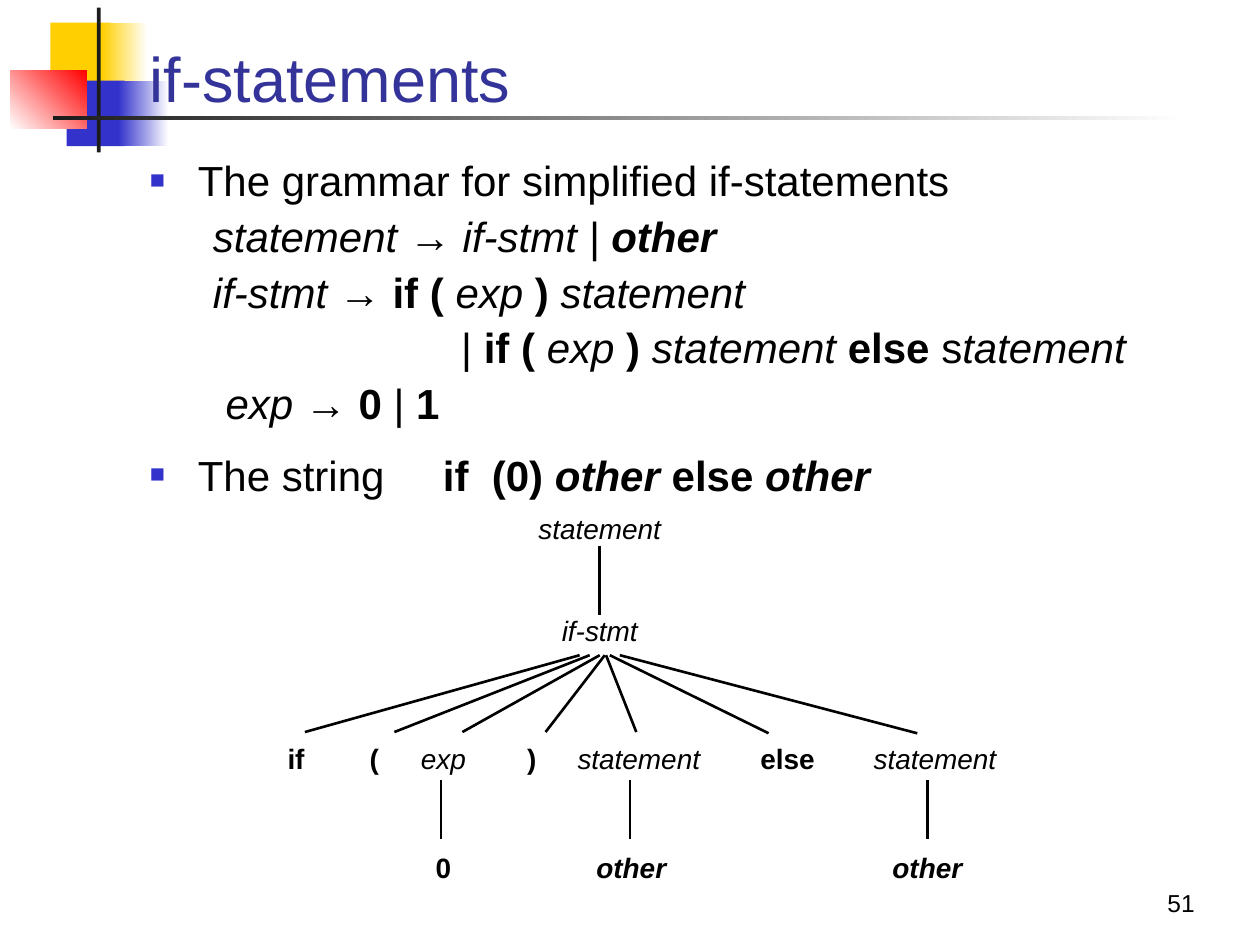
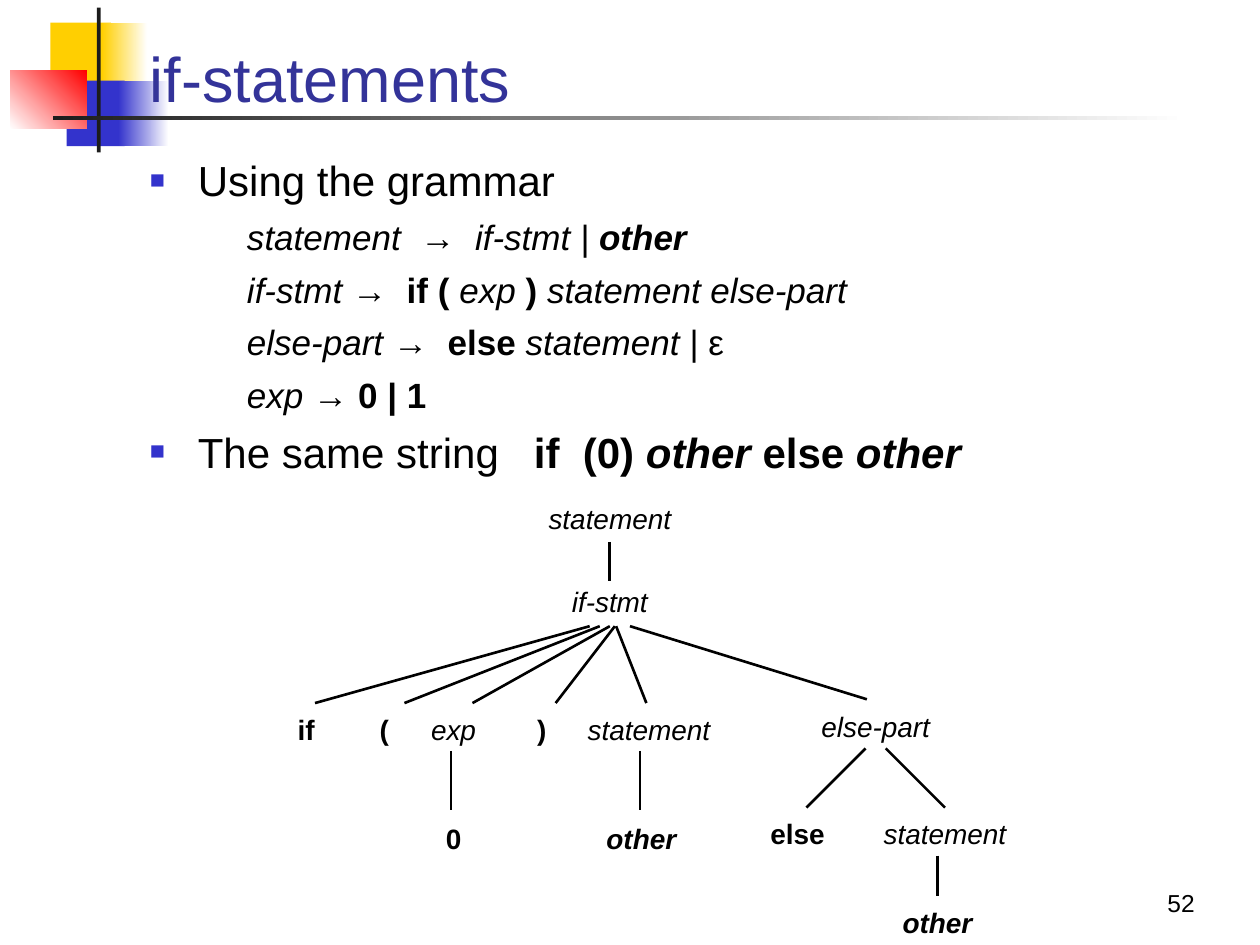
from lxml.etree import SubElement as Sub
from pptx import Presentation
from pptx.dml.color import RGBColor as Rgb
from pptx.enum.shapes import MSO_CONNECTOR as Link, MSO_SHAPE as Kind
from pptx.enum.text import MSO_ANCHOR as Anchor, MSO_AUTO_SIZE as Auto, PP_ALIGN as Align
from pptx.oxml.ns import qn
from pptx.util import Inches, Pt

FONT = "Arial"
BLACK, WHITE, DARK = "000000", "FFFFFF", "1C1C1C"
GOLD, BLUE, RED, NAVY = "FFCF01", "3333CC", "FF0000", "333399"

BANDS = [
    ((0.4, 0.18, 0.48, 0.52), (GOLD,), 0),
    ((0.81, 0.18, 0.36, 0.52), (GOLD, WHITE), 0),
    ((0.53, 0.64, 0.46, 0.52), (BLUE,), 0),
    ((0.94, 0.64, 0.4, 0.52), (BLUE, WHITE), 0),
    ((0.08, 0.56, 0.61, 0.46), (WHITE, RED), 45),
    ((0.77, 0.06, 0.03, 1.15), (DARK,), 0),
    ((0.42, 0.92, 9, 0.03), (DARK, WHITE), 0),
]
FRAMES = [(1.09, 0.21, 8.52, 0.76), (1.09, 1.18, 8.5, 5.64)]

WIDTHS = {"*if*": 0.94, "*(*": 0.78, "*)*": 0.62, "/exp/": 0.94,
          "*else*": 0.94, "*0*": 0.94}
WORDS = [
    ("/if-stmt/", 4.76, 4.87), ("*if*", 2.35, 5.89), ("*(*", 2.97, 5.89),
    ("/exp/", 3.52, 5.89), ("*)*", 4.22, 5.89), ("/statement/", 5.07, 5.89),
    ("*0*", 3.52, 6.75), ("*/other/*", 5.01, 6.75),
]
LINES = [
    (4.6, 5.2, 2.42, 5.81), (4.68, 5.2, 3.13, 5.81), (4.76, 5.2, 3.67, 5.81),
    (4.8, 5.2, 4.33, 5.81), (4.81, 5.2, 5.05, 5.81),
    (3.5, 6.19, 3.5, 6.66), (5, 6.19, 5, 6.66),
]

PAGES = [
    {
        "number": "51", "before": 12, "shift": (0, 0),
        "rows": [
            ("The grammar for simplified if-statements", 24, None, 0),
            ("/statement/ → /if-stmt | /*/other/*", 24, 0.5, 0),
            ("/if-stmt/ → *if ( */exp/* ) */statement/", 24, 0.5, 0),
            ("| *if ( */exp/* )*/ statement /*else* s/tatement/", 24, 2.47, 0),
            ("/exp/ → *0* | *1*", 24, 0.6, 0),
            ("The string_*if  (0) /other/ else /other/*", 24, None, 26.7),
        ],
        "words": [
            ("/statement/", 4.76, 4.06), ("*else*", 6.25, 5.89),
            ("/statement/", 7.42, 5.89), ("*/other/*", 7.36, 6.75),
        ],
        "lines": [
            (4.76, 4.33, 4.76, 4.88), (4.84, 5.2, 6.1, 5.82),
            (4.92, 5.2, 7.28, 5.82), (7.36, 6.19, 7.36, 6.66),
        ],
    },
    {
        "number": "52", "before": 6, "shift": (0.08, -0.23),
        "rows": [
            ("Using the grammar", 24, None, 0),
            ("/statement/  →  /if-stmt | /*/other/*", 20, 0.77, 0),
            ("/if-stmt/ →  *if ( */exp/* ) */statement else-part/", 20, 0.77, 0),
            ("/else-part/ →  *else* /statement | /ε", 20, 0.77, 0),
            ("/exp/ → *0 | 1*", 20, 0.77, 0),
            ("The same string_*if  (0) /other/ else /other/*", 24, None, 13.3),
        ],
        "words": [
            ("/statement/", 4.84, 3.98), ("/else-part/", 6.95, 5.63),
            ("*else*", 6.33, 6.48), ("/statement/", 7.5, 6.48),
            ("*/other/*", 7.44, 7.19),
        ],
        "lines": [
            (4.84, 4.3, 4.84, 4.61), (5, 4.97, 6.88, 5.55),
            (6.87, 5.94, 6.4, 6.41), (7.03, 5.94, 7.5, 6.41),
            (7.44, 6.79, 7.44, 7.11),
        ],
    },
]


def style(item, **values):
    """Set each named attribute of an item."""
    for name, value in values.items():
        setattr(item, name, value)


def paint(fill, *hues, angle=0):
    """Fill with one colour, or with a gradient between two."""
    if len(hues) == 1:
        fill.solid()
        fill.fore_color.rgb = Rgb.from_string(hues[0])
        return
    fill.gradient()
    fill.gradient_angle = angle
    for stop, hue in zip(fill.gradient_stops, hues):
        stop.color.rgb = Rgb.from_string(hue)


def place(item, box):
    """Give an item its left, top, width and height in inches."""
    style(item, **dict(zip(("left", "top", "width", "height"), map(Inches, box))))


def add_run(para, text, size, hue=BLACK, **values):
    """Add one formatted run and return it."""
    run = para.add_run()
    run.text = text
    style(run.font, name=FONT, size=Pt(size), **values)
    paint(run.font.fill, hue)
    return run


def write(para, text, size, gap=0):
    """Write marked text: * for bold, / for italic, _ for a wide space."""
    for n, bold in enumerate(text.split("*")):
        for m, slant in enumerate(bold.split("/")):
            for k, piece in enumerate(slant.split("_")):
                if k:
                    space = add_run(para, " ", size)
                    space._r.get_or_add_rPr().set("spc", str(round(gap * 100)))
                if piece:
                    add_run(para, piece, size, bold=n % 2 == 1, italic=m % 2 == 1)


def indent(para, margin):
    """Set a bullet with a hanging indent, or a plain left margin."""
    props = para._p.get_or_add_pPr()
    hang = 0.38 if margin is None else 0
    props.set("marL", str(Inches(hang or margin)))
    props.set("indent", str(Inches(-hang)))
    if not hang:
        Sub(props, qn("a:buNone"))
        return
    Sub(Sub(props, qn("a:buClr")), qn("a:srgbClr"), val=BLUE)
    Sub(props, qn("a:buSzPct"), val="60000")
    Sub(props, qn("a:buFont"), typeface=FONT)
    Sub(props, qn("a:buChar"), char="■")


def add_title(slide, text):
    """Fill the title placeholder."""
    frame = slide.shapes.title.text_frame
    style(frame, vertical_anchor=Anchor.BOTTOM, auto_size=Auto.NONE)
    para = frame.paragraphs[0]
    style(para, alignment=Align.LEFT, line_spacing=0.85)
    add_run(para, text, 36, NAVY)


def add_list(slide, rows, before):
    """Fill the body placeholder with bullets and grammar rules."""
    frame = slide.placeholders[1].text_frame
    frame.auto_size = Auto.NONE
    for n, (text, size, margin, gap) in enumerate(rows):
        para = frame.add_paragraph() if n else frame.paragraphs[0]
        lead = before if margin is None else min(before, 27 - size)
        para.space_before = Pt(lead)
        indent(para, margin)
        write(para, text, size, gap)


def add_text(shapes, box, text, size, align, anchor, **values):
    """Add a text box with one marked paragraph."""
    item = shapes.add_textbox(*map(Inches, box))
    style(item.text_frame, word_wrap=True, vertical_anchor=anchor)
    para = item.text_frame.paragraphs[0]
    style(para, alignment=align, **values)
    write(para, text, size)


def add_line(shapes, ends):
    """Add a straight branch of the tree."""
    line = shapes.add_connector(Link.STRAIGHT, *map(Inches, ends))
    line.line.width = Pt(1.5)
    paint(line.line.fill, BLACK)
    Sub(line.element.spPr, qn("a:effectLst"))


def add_tree(slide, shift, words, lines):
    """Draw the shared part of the parse tree, moved, and the rest."""
    shapes = slide.shapes.add_group_shape().shapes
    dx, dy = shift
    for a, b, c, d in LINES:
        add_line(shapes, (a + dx, b + dy, c + dx, d + dy))
    for ends in lines:
        add_line(shapes, ends)
    for word, mid, top in [(w, x + dx, y + dy) for w, x, y in WORDS] + words:
        width = WIDTHS.get(word, 1.25)
        add_text(shapes, (mid - width / 2, top, width, 0.32), word, 16,
                 Align.CENTER, Anchor.TOP, line_spacing=0.8)


def set_layout(layout, slide):
    """Put the bands and the placeholder frames on the layout."""
    for item, box in zip(layout.placeholders, FRAMES):
        place(item, box)
    for n, (box, hues, angle) in enumerate(BANDS):
        band = slide.shapes.add_shape(Kind.RECTANGLE, *map(Inches, box))
        band.shadow.inherit = False
        band.line.fill.background()
        paint(band.fill, *hues, angle=angle)
        band.element.nvSpPr.cNvPr.id = 20 + n
        layout.shapes.element.insert(2 + n, band.element)


def main():
    """Build both slides and save them."""
    deck = Presentation()
    style(deck, slide_width=Inches(10), slide_height=Inches(7.5))
    layout = deck.slide_layouts[1]
    for n, page in enumerate(PAGES):
        slide = deck.slides.add_slide(layout)
        if n == 0:
            set_layout(layout, slide)
        add_title(slide, "if-statements")
        add_list(slide, page["rows"], page["before"])
        add_text(slide.shapes, (7.5, 6.83, 2.08, 0.5), page["number"], 14,
                 Align.RIGHT, Anchor.BOTTOM)
        add_tree(slide, page["shift"], page["words"], page["lines"])
    deck.save("out.pptx")


if __name__ == "__main__":
    main()
